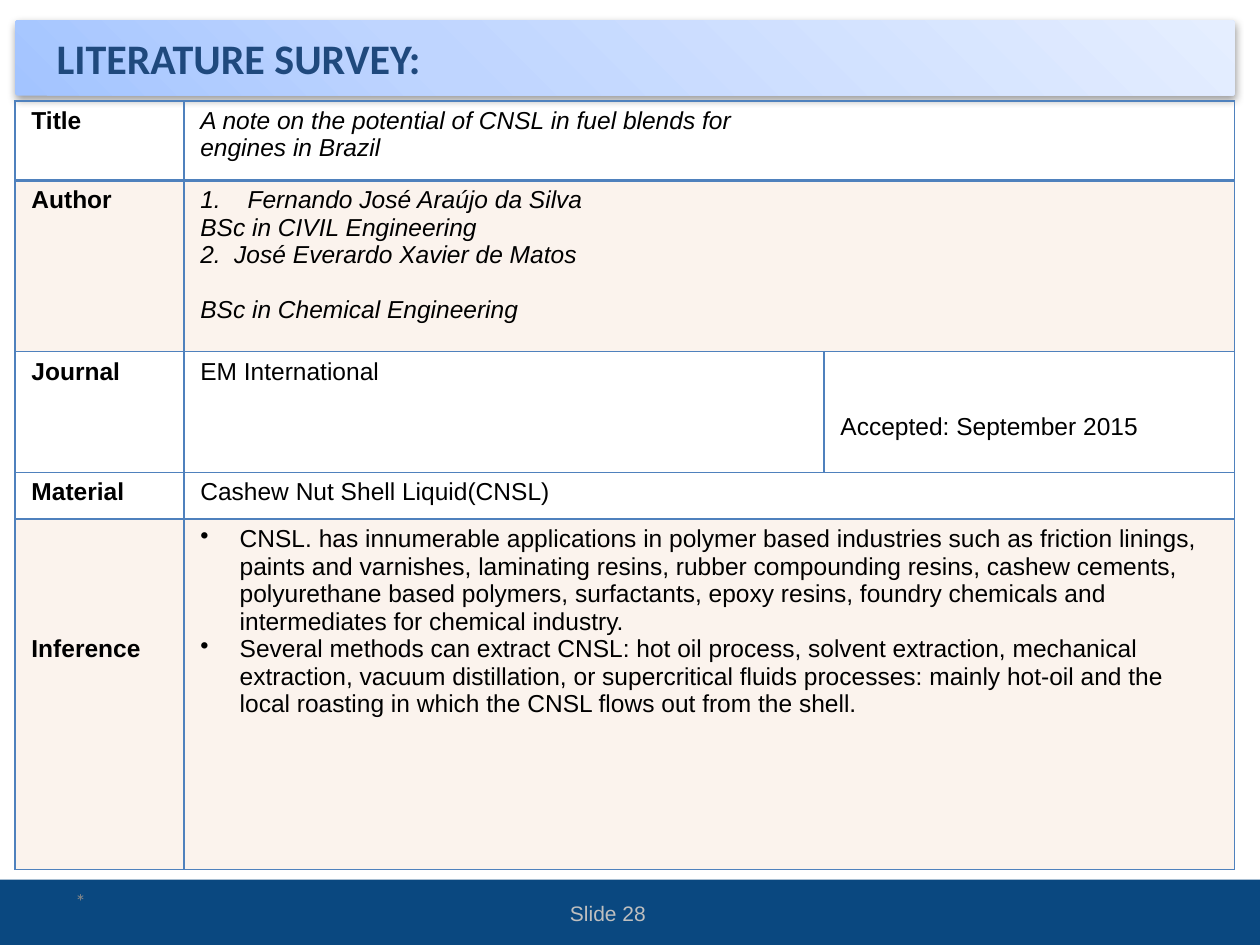
from dataclasses import dataclass

import pptx
import pptx.dml.color
import pptx.enum.shapes
import pptx.enum.text
import pptx.oxml
import pptx.util
from pptx.util import Pt

NAMESPACE = 'xmlns:a="http://schemas.openxmlformats.org/drawingml/2006/main"'
ANCHOR = pptx.enum.text.MSO_ANCHOR
ALIGN = pptx.enum.text.PP_ALIGN
SHAPE = pptx.enum.shapes.MSO_SHAPE


@dataclass(frozen=True)
class Theme:
    heading_font: str = "Calibri"
    body_font: str = "Arial"
    heading_size: float = 24
    body_size: float = 14
    footer_size: float = 12
    heading: str = "1F497D"
    text: str = "000000"
    footer_bar: str = "0A4880"
    footer_text: str = "BFBFBF"
    footer_mark: str = "898989"
    border: str = "4F81BD"
    tint: str = "EEC6A9"
    tint_alpha: int = 20
    banner: tuple = ((0, "A3C4FF"), (35, "BFD5FF"), (100, "E5EEFF"))
    thin: float = 0.96
    thick: float = 1.98
    line_pitch: float = 15.75


THEME = Theme()


@dataclass
class Line:
    """One table paragraph, with an optional hanging marker."""
    text: str
    marker: str = ""
    indent: float = 0
    space_before: float = 0


def color(value):
    return pptx.dml.color.RGBColor.from_string(value)


def element(markup):
    """Parse markup whose first tag is followed by a space or a bracket."""
    return pptx.oxml.parse_xml(markup.replace("{ns}", NAMESPACE))


def style(paragraph, font, size, fill, bold=False, italic=False):
    paragraph.font.name = font
    paragraph.font.size = Pt(size)
    paragraph.font.bold = bold
    paragraph.font.italic = italic
    paragraph.font.color.rgb = color(fill)


def add_panel(slide, kind, left, top, width, height):
    panel = slide.shapes.add_shape(kind, Pt(left), Pt(top), Pt(width), Pt(height))
    panel.shadow.inherit = False
    panel.line.fill.background()
    return panel


def add_banner(slide):
    banner = add_panel(slide, SHAPE.ROUNDED_RECTANGLE, 8.6, 11.5, 697, 43.2)
    banner.adjustments[0] = 0.04
    properties = banner._element.spPr
    stops = "".join(f'<a:gs pos="{position * 1000}"><a:srgbClr val="{value}"/></a:gs>'
                    for position, value in THEME.banner)
    properties.find(".//{*}prstGeom").addnext(element(
        f'<a:gradFill {{ns}} rotWithShape="1"><a:gsLst>{stops}</a:gsLst>'
        '<a:lin ang="18900000" scaled="0"/></a:gradFill>'))
    properties.find("{*}effectLst").append(element(
        f'<a:outerShdw {{ns}} blurRad="{Pt(5)}" dist="{Pt(1.6)}" dir="5400000" rotWithShape="0">'
        '<a:srgbClr val="000000"><a:alpha val="38000"/></a:srgbClr></a:outerShdw>'))
    return banner


def set_title(slide, banner, text):
    title = slide.shapes.title
    title.left, title.top, title.width, title.height = Pt(25.2), Pt(15.1), Pt(316.8), Pt(36)
    title.text_frame.text = text
    title.text_frame.word_wrap = True
    title.text_frame.vertical_anchor = ANCHOR.MIDDLE
    paragraph = title.text_frame.paragraphs[0]
    paragraph.alignment = ALIGN.LEFT
    style(paragraph, THEME.heading_font, THEME.heading_size, THEME.heading, bold=True)
    banner._element.addnext(title._element)  # the title sits on top of the banner


def add_footer_text(slide, text, left, top, font, fill, alignment):
    box = slide.shapes.add_textbox(Pt(left), Pt(top), Pt(167.8), Pt(28.8))
    frame = box.text_frame
    frame.word_wrap = True
    frame.vertical_anchor = ANCHOR.MIDDLE
    frame.text = text
    frame.paragraphs[0].alignment = alignment
    style(frame.paragraphs[0], font, THEME.footer_size, fill)


def set_marker(paragraph, line):
    properties = paragraph._p.get_or_add_pPr()
    properties.set("marL", str(Pt(line.indent)))
    properties.set("indent", str(-Pt(line.indent)))
    if line.marker == "•":
        markup = '<a:buChar {ns} char="•"/>'
    else:
        markup = f'<a:buAutoNum {{ns}} type="arabicPeriod" startAt="{line.marker}"/>'
    properties.append(element(markup))


def fill_cell(cell, lines, blank_lines=0, bold=False, italic=False):
    cell.margin_left = cell.margin_right = Pt(9.4)
    cell.margin_top = Pt(3.6 + blank_lines * THEME.line_pitch)
    cell.margin_bottom = Pt(3.6)
    frame = cell.text_frame
    frame.text = "\n".join(line.text for line in lines)
    for paragraph, line in zip(frame.paragraphs, lines):
        if line.space_before:
            paragraph.space_before = Pt(line.space_before)
        if line.marker:
            set_marker(paragraph, line)
        style(paragraph, THEME.body_font, THEME.body_size, THEME.text, bold, italic)


def format_cell(cell, row, tinted):
    """Draw the borders, thicker below the first row, then the fill."""
    properties = cell._tc.get_or_add_tcPr()
    thick_side = {0: "B", 1: "T"}.get(row)
    for side in "LRTB":
        width = THEME.thick if side == thick_side else THEME.thin
        properties.append(element(
            f'<a:ln{side} {{ns}} w="{Pt(width)}"><a:solidFill>'
            f'<a:srgbClr val="{THEME.border}"/></a:solidFill></a:ln{side}>'))
    if tinted:
        cell.fill.solid()
        cell.fill.fore_color.rgb = color(THEME.tint)
        properties.find("{*}solidFill/{*}srgbClr").append(
            element(f'<a:alpha {{ns}} val="{THEME.tint_alpha * 1000}"/>'))
    else:
        cell.fill.background()


def add_survey_table(slide):
    widths = (96.5, 365.8, 234.7)
    # label, height, blank lines above the label, tinted, italic, content
    rows = (
        ("Title", 45.4, 0, False, True, [
            Line("A note on the potential of CNSL in fuel blends for"),
            Line("engines in Brazil")]),
        ("Author", 97.9, 0, True, True, [
            Line("Fernando José Araújo da Silva", "1", 27),
            Line("BSc in CIVIL Engineering"),
            Line("José Everardo Xavier de Matos", "2", 19.4),
            Line("BSc in Chemical Engineering", space_before=THEME.line_pitch)]),
        ("Journal", 69.1, 0, False, False, [Line("EM International")]),
        ("Material", 26.6, 0, False, False, [Line("Cashew Nut Shell Liquid(CNSL)")]),
        ("Inference", 200.2, 4, True, False, [
            Line("CNSL. has innumerable applications in polymer based industries such as "
                 "friction linings, paints and varnishes, laminating resins, rubber compounding "
                 "resins, cashew cements, polyurethane based polymers, surfactants, epoxy "
                 "resins, foundry chemicals and intermediates for chemical industry.", "•", 22.5),
            Line("Several methods can extract CNSL: hot oil process, solvent extraction, "
                 "mechanical extraction, vacuum distillation, or supercritical fluids processes: "
                 "mainly hot-oil and the local roasting in which the CNSL flows out from the "
                 "shell.", "•", 22.5)]),
    )
    table = slide.shapes.add_table(len(rows), len(widths), Pt(8.6), Pt(57.6), Pt(sum(widths)),
                                   Pt(sum(row[1] for row in rows))).table
    table.first_row = table.horz_banding = False
    for column, width in zip(table.columns, widths):
        column.width = Pt(width)
    for index, (label, height, blank_lines, tinted, italic, lines) in enumerate(rows):
        table.rows[index].height = Pt(height)
        for column in range(len(widths)):
            format_cell(table.cell(index, column), index, tinted)
        fill_cell(table.cell(index, 0), [Line(label)], blank_lines, bold=True)
        fill_cell(table.cell(index, 1), lines, italic=italic)
        if label == "Journal":
            fill_cell(table.cell(index, 2), [Line("Accepted: September 2015")], blank_lines=2)
        else:
            table.cell(index, 1).merge(table.cell(index, 2))


def main():
    presentation = pptx.Presentation()
    presentation.slide_width, presentation.slide_height = Pt(720), Pt(540)
    slide = presentation.slides.add_slide(presentation.slide_layouts[5])

    # Footer bar, banner and title
    bar = add_panel(slide, SHAPE.RECTANGLE, 0, 502.6, 720, 37.4)
    bar.fill.solid()
    bar.fill.fore_color.rgb = color(THEME.footer_bar)
    set_title(slide, add_banner(slide), "LITERATURE SURVEY:")

    # Footer texts
    add_footer_text(slide, "Slide 28", 263.5, 507.6, THEME.body_font,
                    THEME.footer_text, ALIGN.CENTER)
    add_footer_text(slide, "*", 36, 500.4, THEME.heading_font, THEME.footer_mark, ALIGN.LEFT)

    # Survey table
    add_survey_table(slide)
    presentation.save("out.pptx")


if __name__ == "__main__":
    main()
